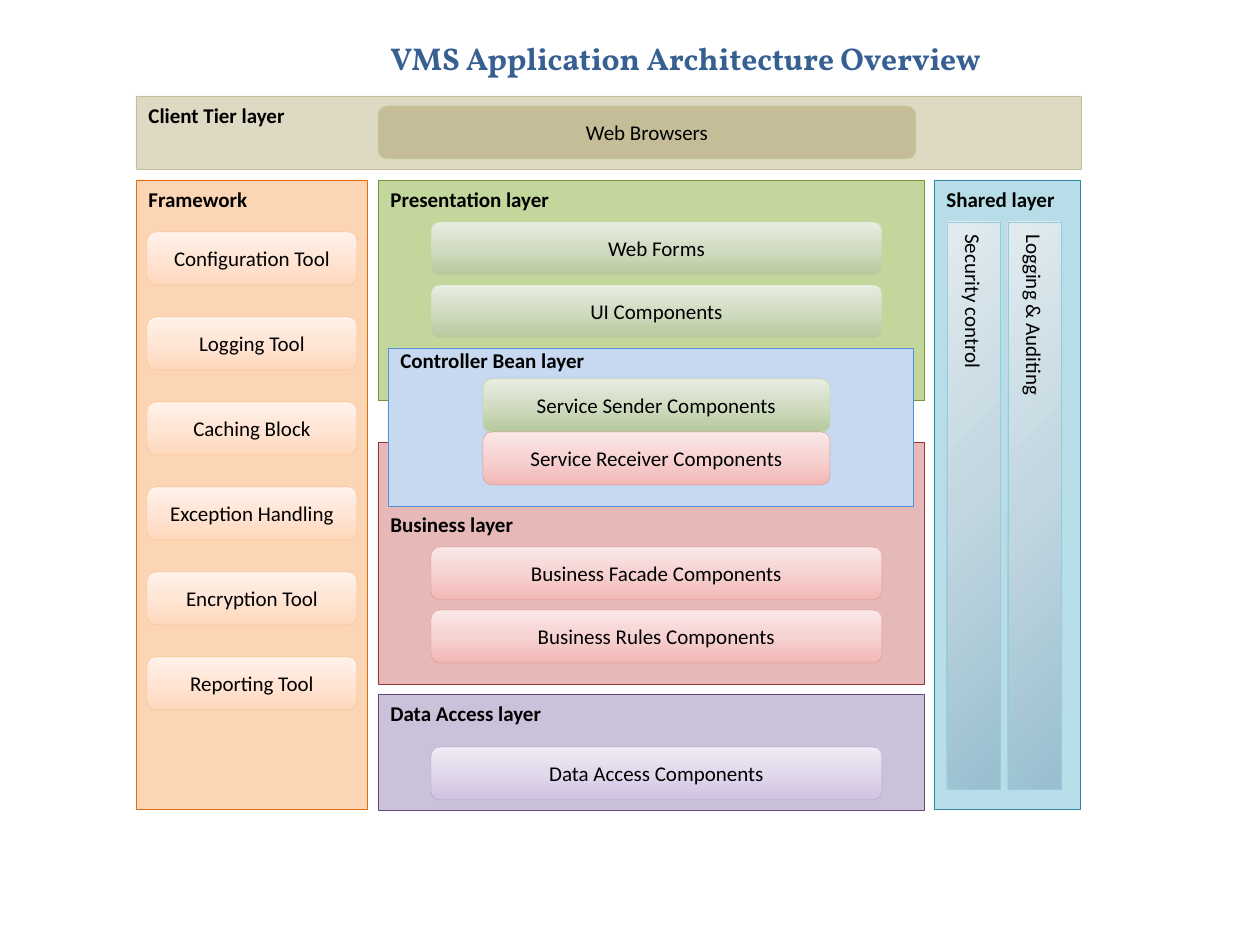
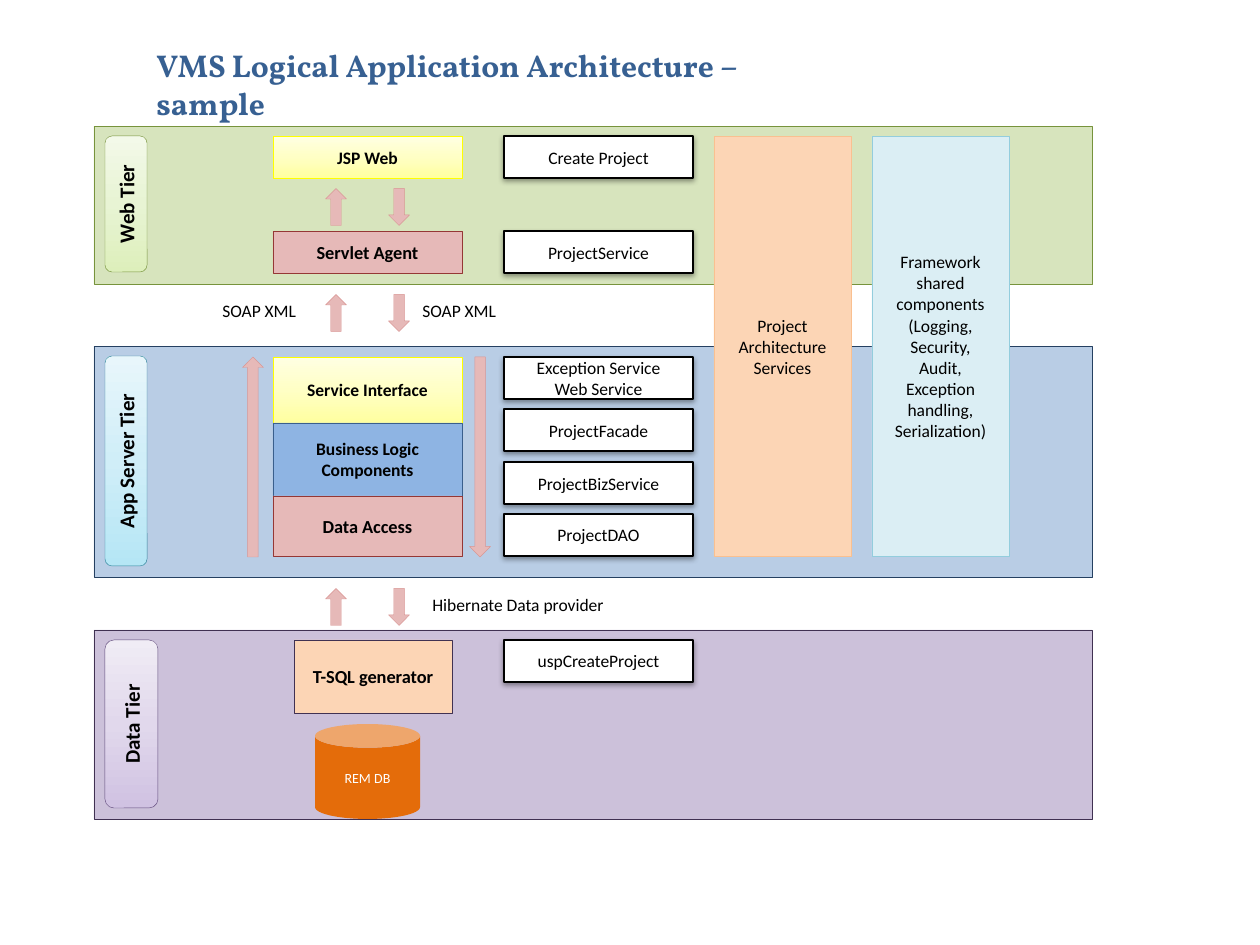
from copy import deepcopy
from dataclasses import dataclass

from lxml.etree import SubElement
from pptx import Presentation
from pptx.dml.color import RGBColor
from pptx.enum.shapes import MSO_SHAPE
from pptx.enum.text import MSO_ANCHOR, MSO_AUTO_SIZE, PP_ALIGN
from pptx.oxml.ns import qn
from pptx.util import Emu, Pt

PIXEL = 914400 // 126


@dataclass(frozen=True)
class Paint:
    """Fill (one colour, or three gradient stops) and outline of a shape."""
    fill: object
    line: str = None
    width: float = 0.25
    angle: int = 90
    shadow: bool = False


class Theme:
    """Fonts, type sizes and colours shared by both slides."""
    body_font, title_font = "Calibri", "Vollkorn"
    title_size, label_size, block_size, small_size, database_size = 18, 12, 10.5, 10, 8
    title, ink, white = "376092", "000000", "FFFFFF"

    peach_stops = ("FFD8BC", "FFE5D5", "FFF2EA")
    green_stops = ("B6C99C", "D1DCC3", "E8EDE2")
    red_stops = ("F2B7B6", "F6D2D1", "FAE8E8")
    purple_stops = ("D0C2E2", "E1D8EC", "F0ECF5")

    client = Paint("DDD9C3", "C4BD97")
    browser = Paint("C4BD97", "C3D69B")
    presentation = Paint("C3D69B", "77933C")
    controller = Paint("C6D9F1", "558ED5")
    business = Paint("E6B9B8", "953735")
    data_access = Paint("CCC1DA", "604A7B")
    framework = Paint("FCD5B5", "E46C0A", 0.5)
    shared = Paint("B7DEE8", "31859C", 0.5)
    peach_button = Paint(peach_stops, "FAC090")
    green_button = Paint(green_stops, "C3D69B")
    red_button = Paint(red_stops, "D99694")
    purple_button = Paint(purple_stops, "B3A2C7")
    shared_column = Paint(("98BFCF", "C1D6E0", "E1EBEF"), "93CDDD", angle=135)

    web_tier = Paint("D7E4BD", "77933C")
    server_tier = Paint("B9CDE5", "254061")
    data_tier = Paint("CCC1DA", "403152")
    web_tag = Paint(("DDEFBB", "E8F4D4", "F3F9E9"), "77933C")
    server_tag = Paint(("B5E6F5", "D0EEF8", "E8F6FB"), "31859C")
    data_tag = Paint(purple_stops, "604A7B")
    yellow = Paint(("FFFFA0", "FFFFC5", "FFFFE3"), "FFFF00")
    logic = Paint("8EB4E3", "3A5F8C")
    generator = Paint("FCD5B5", "403152")
    sample = Paint("FFFFFF", "000000", 0.75, shadow=True)
    project_pillar = Paint("FCD5B5", "FAC090")
    framework_pillar = Paint("DBEEF4", "93CDDD")
    arrow = Paint("E6B9B8", "D99694")
    database = Paint("E46C0A")


# Slide 1: label, box, paint, offset of the label from the top of the panel
LAYERS = [
    ("Presentation layer", (378, 180, 546, 220), Theme.presentation, 0),
    ("Business layer", (378, 442, 546, 242), Theme.business, 63),
    ("Controller Bean layer", (388, 348, 525, 158), Theme.controller, -7),
    ("Framework", (136, 180, 231, 630), Theme.framework, 0),
    ("Data Access layer", (378, 694, 546, 116), Theme.data_access, 0),
    ("Shared layer", (934, 180, 147, 630), Theme.shared, 0),
    ("Client Tier layer", (136, 96, 945, 73), Theme.client, 0),
]
# Left, top, width, step, paint, button texts
BUTTON_STACKS = [
    (378, 106, 538, 0, Theme.browser, ["Web Browsers"]),
    (147, 232, 210, 85, Theme.peach_button,
     ["Configuration Tool", "Logging Tool", "Caching Block",
      "Exception Handling", "Encryption Tool", "Reporting Tool"]),
    (431, 222, 451, 63, Theme.green_button, ["Web Forms", "UI Components"]),
    (483, 379, 347, 0, Theme.green_button, ["Service Sender Components"]),
    (483, 432, 347, 0, Theme.red_button, ["Service Receiver Components"]),
    (431, 547, 451, 63, Theme.red_button,
     ["Business Facade Components", "Business Rules Components"]),
    (431, 747, 451, 0, Theme.purple_button, ["Data Access Components"]),
]
BUTTON_HEIGHT = 53
SHARED_COLUMNS = ["Security control", "Logging & Auditing"]

# Slide 2: name, top, height, paint of band, tag width and height, paint of tag
TIERS = [
    ("Web Tier", 126, 158, Theme.web_tier, 42, 136, Theme.web_tag),
    ("App Server Tier", 346, 231, Theme.server_tier, 42, 210, Theme.server_tag),
    ("Data Tier", 630, 189, Theme.data_tier, 53, 168, Theme.data_tag),
]
BLOCKS = [
    ("JSP Web", (273, 136, 189, 42), Theme.yellow, Theme.small_size),
    ("Servlet Agent", (273, 231, 189, 42), Theme.business, Theme.block_size),
    ("Service Interface", (273, 357, 189, 66), Theme.yellow, Theme.small_size),
    ("Business Logic\nComponents", (273, 423, 189, 73), Theme.logic, Theme.small_size),
    ("Data Access", (273, 496, 189, 60), Theme.business, Theme.block_size),
    ("T-SQL generator", (294, 640, 158, 73), Theme.generator, Theme.block_size),
]
SAMPLES = [
    ("Create Project", 136), ("ProjectService", 231),
    ("Exception Service\nWeb Service", 357), ("ProjectFacade", 409),
    ("ProjectBizService", 462), ("ProjectDAO", 514), ("uspCreateProject", 640),
]
PILLARS = [
    ("Project\nArchitecture Services", 714, Theme.project_pillar),
    ("Framework shared components\n(Logging,\nSecurity,\nAudit,\n"
     "Exception handling,\nSerialization)", 872, Theme.framework_pillar),
]
# Centre of the upward arrow, centre of the downward arrow, middle height, length
ARROW_PAIRS = [(336, 399, 207, 37), (336, 399, 313, 37),
               (253, 480, 457, 200), (336, 399, 607, 37)]
ARROW_THICKNESS = 21
PROTOCOLS = [("SOAP XML", (410, 294, 101, 34)), ("SOAP XML", (210, 294, 101, 34)),
             ("Hibernate Data provider", (420, 588, 200, 34))]


def place(box):
    """Turn a pixel box into EMU lengths."""
    return [Emu(round(length * PIXEL)) for length in box]


def write(frame, text, size, color=Theme.ink, bold=False,
          font=Theme.body_font, align=PP_ALIGN.CENTER):
    """Fill a text frame, one paragraph per line of text."""
    frame.text = text
    for para in frame.paragraphs:
        para.alignment = align
        para.font.name, para.font.size, para.font.bold = font, Pt(size), bold
        para.font.color.rgb = RGBColor.from_string(color)


def fill_gradient(shape, colors, angle):
    """Give a shape a linear gradient with three even stops."""
    shape.fill.gradient()
    shape.fill.gradient_angle = angle
    stop_list = shape.element.spPr.find(".//" + qn("a:gsLst"))
    stop_list.insert(1, deepcopy(stop_list[0]))
    for stop, position, color in zip(shape.fill.gradient_stops, (0, 0.5, 1), colors):
        stop.position = position
        stop.color.rgb = RGBColor.from_string(color)


def add_soft_shadow(shape):
    """Add a soft shadow straight below a shape."""
    effects = shape.element.spPr.find(qn("a:effectLst"))
    shadow = SubElement(effects, qn("a:outerShdw"), blurRad="40000", dist="20000",
                        dir="5400000", rotWithShape="0")
    color = SubElement(shadow, qn("a:srgbClr"), val=Theme.ink)
    SubElement(color, qn("a:alpha"), val="38000")


def add_block(page, box, paint, text="", size=Theme.label_size, kind=MSO_SHAPE.RECTANGLE,
              color=Theme.ink, bold=False, direction=None):
    """Draw one painted shape with centred text."""
    shape = page.shapes.add_shape(kind, *place(box))
    shape.shadow.inherit = False
    if isinstance(paint.fill, str):
        shape.fill.solid()
        shape.fill.fore_color.rgb = RGBColor.from_string(paint.fill)
    else:
        fill_gradient(shape, paint.fill, paint.angle)
    if paint.line:
        shape.line.color.rgb = RGBColor.from_string(paint.line)
        shape.line.width = Pt(paint.width)
    else:
        shape.line.fill.background()
    if paint.shadow:
        add_soft_shadow(shape)
    if text:
        frame = shape.text_frame
        frame.word_wrap = True
        frame.vertical_anchor = MSO_ANCHOR.MIDDLE
        write(frame, text, size, color, bold)
        if direction:
            shape.element.txBody.bodyPr.set("vert", direction)
    return shape


def add_label(page, box, text, size=Theme.label_size, wrap=True, **style):
    """Add a left-aligned text box."""
    frame = page.shapes.add_textbox(*place(box)).text_frame
    frame.word_wrap = wrap
    frame.auto_size = MSO_AUTO_SIZE.SHAPE_TO_FIT_TEXT
    write(frame, text, size, align=PP_ALIGN.LEFT, **style)


def add_page(deck, title, title_box):
    """Add a blank slide with the common title style."""
    page = deck.slides.add_slide(deck.slide_layouts[6])
    add_label(page, title_box, title, Theme.title_size, color=Theme.title,
              bold=True, font=Theme.title_font)
    return page


def build_overview(deck):
    """Build the slide of layers and their components."""
    page = add_page(deck, "VMS Application Architecture Overview", (378, 33, 622, 50))
    for _, box, paint, _ in LAYERS:
        add_block(page, box, paint)
    for text, (left, top, width, _), _, offset in LAYERS:
        add_label(page, (left, top + offset, max(168, min(width, 357)), 38), text, bold=True)
    for left, top, width, step, paint, texts in BUTTON_STACKS:
        for index, text in enumerate(texts):
            add_block(page, (left, top + index * step, width, BUTTON_HEIGHT), paint, text,
                      kind=MSO_SHAPE.ROUNDED_RECTANGLE)
    for index, text in enumerate(SHARED_COLUMNS):
        add_block(page, (947 + index * 61, 222, 53, 567), Theme.shared_column, text,
                  direction="eaVert")


def build_sample(deck):
    """Build the slide of tiers, calls between them and sample classes."""
    page = add_page(deck, "VMS Logical Application Architecture – sample",
                    (144, 40, 720, 50))
    for text, top, height, band, tag_width, tag_height, tag in TIERS:
        add_block(page, (94, top, 998, height), band)
        add_block(page, (105, top + 10, tag_width, tag_height), tag, text, bold=True,
                  kind=MSO_SHAPE.ROUNDED_RECTANGLE, direction="vert270")
    for text, box, paint, size in BLOCKS:
        add_block(page, box, paint, text, size, bold=True)
    for text, top in SAMPLES:
        add_block(page, (504, top, 189, 42), Theme.sample, text, Theme.small_size)
    for up, down, middle, length in ARROW_PAIRS:
        for center, rotation in ((up, 270), (down, 90)):
            box = (center - length / 2, middle - ARROW_THICKNESS / 2, length, ARROW_THICKNESS)
            arrow = add_block(page, box, Theme.arrow, kind=MSO_SHAPE.RIGHT_ARROW)
            arrow.rotation = rotation
    for text, box in PROTOCOLS:
        add_label(page, box, text, Theme.small_size, wrap=False)
    add_block(page, (315, 724, 105, 95), Theme.database, "REM DB", Theme.database_size,
              kind=MSO_SHAPE.CAN, color=Theme.white)
    for text, left, paint in PILLARS:
        add_block(page, (left, 136, 137, 420), paint, text, Theme.small_size)


deck = Presentation()
deck.slide_width, deck.slide_height = place((1260, 945))
build_overview(deck)
build_sample(deck)
deck.save("out.pptx")
